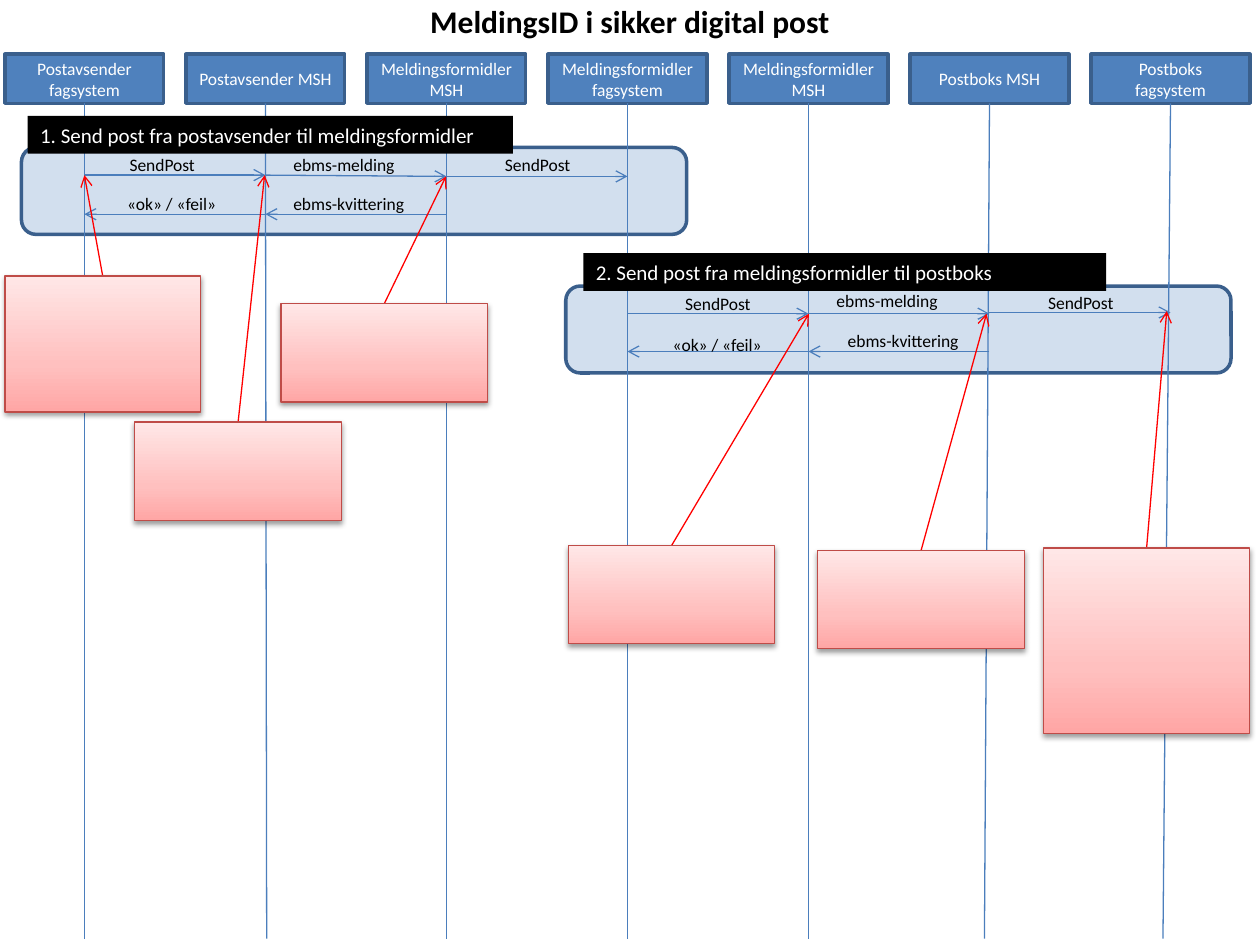
from dataclasses import dataclass

from pptx import Presentation
from pptx import util as u
from pptx.dml.color import RGBColor
from pptx.enum import shapes, text
from pptx.oxml.ns import qn
from lxml import etree


@dataclass(frozen=True)
class Theme:
    font: str = "Calibri"
    blue: str = "4F81BD"
    edge: str = "3A5F8C"
    wire: str = "4B7EBC"
    red: str = "FF0000"
    note_edge: str = "BF4C48"
    note_stops: tuple = ((0, "FFA6A5"), (35, "FFC0BF"), (100, "FFE7E7"))
    black: str = "000000"
    white: str = "FFFFFF"
    small: int = 10
    heading: int = 12
    title: int = 18
    thin: float = 0.75
    thick: float = 2


def rgb(value):
    return RGBColor.from_string(value)


def inches(values):
    return [u.Inches(v) for v in values]


def sub(parent, tag, **attrs):
    return etree.SubElement(parent, qn(tag), {k: str(v) for k, v in attrs.items()})


def write(tf, words, font, size, color, bold=False, align=None, wrap=True):
    tf.word_wrap = wrap
    p = tf.paragraphs[0]
    p.alignment = align
    r = p.add_run()
    r.text = words
    r.font.name, r.font.size, r.font.bold = font, u.Pt(size), bold
    r.font.color.rgb = rgb(color)


class Sequence:
    """Draws sequence diagram elements on one slide in one theme."""

    def __init__(self, slide, theme):
        self.s, self.t = slide, theme

    def shape(self, box, color, width, kind=shapes.MSO_SHAPE.RECTANGLE):
        sp = self.s.shapes.add_shape(kind, *inches(box))
        sp.shadow.inherit = False
        sp.line.color.rgb = rgb(color)
        sp.line.width = u.Pt(width)
        return sp

    def frame(self, box):
        sp = self.shape(box, self.t.edge, self.t.thick, shapes.MSO_SHAPE.ROUNDED_RECTANGLE)
        sp.fill.solid()
        sp.fill.fore_color.rgb = rgb(self.t.blue)
        sub(sp._element.spPr.find(qn("a:solidFill"))[0], "a:alpha", val=25000)

    def participant(self, box, words):
        sp = self.shape(box, self.t.edge, self.t.thick)
        sp.fill.solid()
        sp.fill.fore_color.rgb = rgb(self.t.blue)
        sp.text_frame.vertical_anchor = text.MSO_ANCHOR.MIDDLE
        write(sp.text_frame, words, self.t.font, self.t.small, self.t.white,
              align=text.PP_ALIGN.CENTER)

    def note(self, box):
        sp = self.shape(box, self.t.note_edge, self.t.thin)
        sp.fill.gradient()
        sp.fill.gradient_angle = 90
        stops = sp._element.spPr.find(qn("a:gradFill")).find(qn("a:gsLst"))
        stops.clear()
        for pos, color in self.t.note_stops:
            sub(sub(stops, "a:gs", pos=pos * 1000), "a:srgbClr", val=color)
        shadow = sub(sp._element.spPr.find(qn("a:effectLst")), "a:outerShdw",
                     blurRad=u.Pt(3.1), dist=u.Pt(1.6), dir=5400000, rotWithShape=0)
        sub(sub(shadow, "a:srgbClr", val=self.t.black), "a:alpha", val=38000)

    def line(self, start, end, color, arrow=False):
        c = self.s.shapes.add_connector(shapes.MSO_CONNECTOR.STRAIGHT, *inches(start + end))
        c.line.color.rgb = rgb(color)
        c.line.width = u.Pt(self.t.thin)
        if arrow:
            sub(c.line._get_or_add_ln(), "a:tailEnd", type="arrow")
        sub(c._element.spPr, "a:effectLst")

    def textbox(self, box, words, size, color, fill=None, **fmt):
        sp = self.s.shapes.add_textbox(*inches(box))
        if fill:
            sp.fill.solid()
            sp.fill.fore_color.rgb = rgb(fill)
        write(sp.text_frame, words, self.t.font, size, color, **fmt)
        sp.text_frame.auto_size = text.MSO_AUTO_SIZE.SHAPE_TO_FIT_TEXT


PARTICIPANTS = (
    ("Postavsender fagsystem", 0), ("Postavsender MSH", 0.01),
    ("Meldingsformidler MSH", 0), ("Meldingsformidler fagsystem", 0),
    ("Meldingsformidler MSH", 0), ("Postboks MSH", -0.04),
    ("Postboks fagsystem", -0.06),
)
LANES = [0.67 + i * 8.62 / 6 for i in range(len(PARTICIPANTS))]
FRAMES = ((0.17, 1.17), (4.49, 2.27))
LABEL_WIDTHS = {"SendPost": 0.73, "ebms-melding": 1.01,
                "ebms-kvittering": 1.1, "«ok» / «feil»": 0.92}
EXCHANGES = (
    (0, (1.39, 1.39, 1.4, 1.4), 1.7,
     (("SendPost", 0.93, 1.17), ("ebms-melding", 2.23, 1.17), ("SendPost", 3.91, 1.17),
      ("ebms-kvittering", 2.23, 1.48), ("«ok» / «feil»", 0.91, 1.48))),
    (3, (2.49, 2.49, 2.49, 2.48), 2.79,
     (("SendPost", 5.34, 2.28), ("ebms-melding", 6.54, 2.25), ("SendPost", 8.22, 2.27),
      ("ebms-kvittering", 6.63, 2.57), ("«ok» / «feil»", 5.24, 2.6))),
)
HEADINGS = (
    ((0.22, 0.92, 3.85, 0.3), "1. Send post fra postavsender til meldingsformidler"),
    ((4.63, 2.01, 4.15, 0.3), "2. Send post fra meldingsformidler til postboks"),
)
NOTES = (
    ((0.04, 2.19, 1.55, 1.08), (0.67, 1.39)),
    ((1.07, 3.35, 1.64, 0.78), (2.1, 1.39)),
    ((2.23, 2.41, 1.64, 0.78), (3.54, 1.4)),
    ((4.51, 4.33, 1.64, 0.78), (6.42, 2.49)),
    ((6.49, 4.37, 1.64, 0.78), (7.83, 2.49)),
    ((8.28, 4.35, 1.64, 1.47), (9.26, 2.47)),
)


def main():
    prs = Presentation()
    prs.slide_width, prs.slide_height = inches((10, 7.5))
    t = Theme()
    d = Sequence(prs.slides.add_slide(prs.slide_layouts[6]), t)

    for left, top in FRAMES:
        d.frame((left, top, 5.28, 0.69))
    for x, (name, _) in zip(LANES, PARTICIPANTS):
        d.participant((x - 0.63, 0.43, 1.26, 0.39), name)
    for x, (_, drift) in zip(LANES, PARTICIPANTS):
        d.line((x, 0.82), (x + drift, 7.45), t.wire)

    for first, heights, reply, labels in EXCHANGES:
        lanes = LANES[first:first + 4]
        for i in range(3):
            y = heights[i] if i < 2 else heights[3]
            d.line((lanes[i], y), (lanes[i + 1], heights[i + 1]), t.wire, arrow=True)
        for i in (2, 1):
            d.line((lanes[i], reply), (lanes[i - 1], reply), t.wire, arrow=True)
        for words, left, top in labels:
            d.textbox((left, top, LABEL_WIDTHS[words], 0.27), words, t.small, t.black,
                      wrap=False)

    for box, words in HEADINGS:
        d.textbox(box, words, t.heading, t.white, fill=t.black)
    d.textbox((0, -0.03, 10, 0.4), "MeldingsID i sikker digital post", t.title, t.black,
              fill=t.white, bold=True, align=text.PP_ALIGN.CENTER)

    for box, target in NOTES:
        left, top, width, _ = box
        d.line((left + width / 2, top), target, t.red, arrow=True)
        d.note(box)

    prs.save("out.pptx")


if __name__ == "__main__":
    main()
